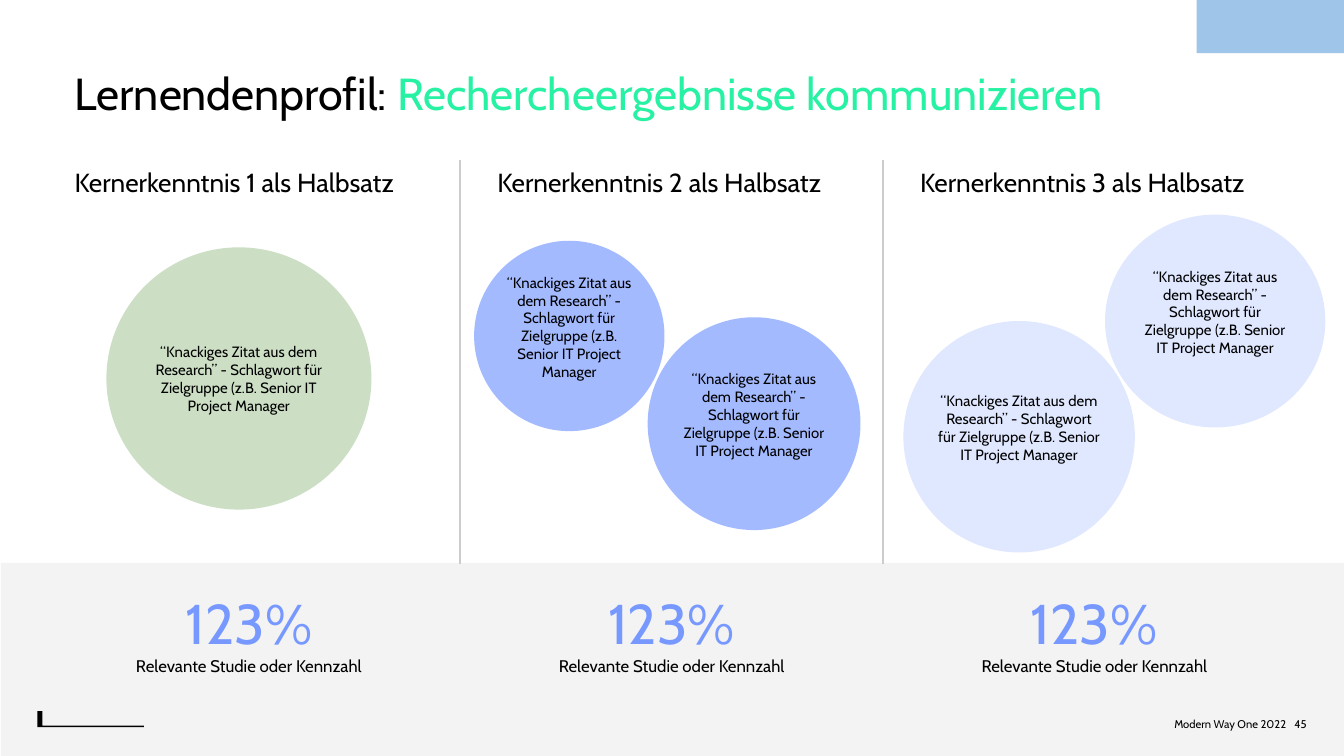
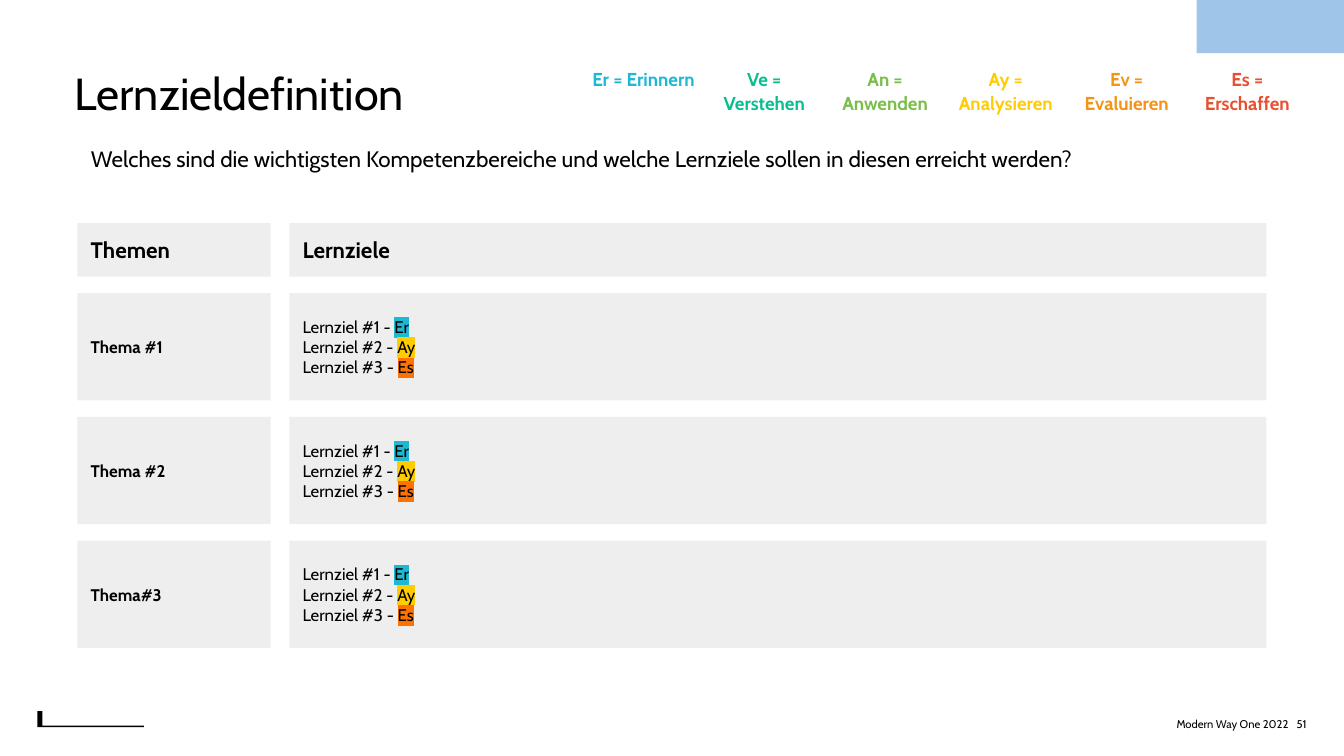
"""Build two slides on learner research and learning goals."""
from dataclasses import dataclass
from typing import NamedTuple

from lxml import etree
from pptx import Presentation
from pptx.dml.color import RGBColor
from pptx.enum.shapes import MSO_CONNECTOR, MSO_SHAPE
from pptx.enum.text import MSO_ANCHOR, MSO_AUTO_SIZE, PP_ALIGN
from pptx.oxml.ns import qn
from pptx.util import Pt

RECT, OVAL, CORNER = MSO_SHAPE.RECTANGLE, MSO_SHAPE.OVAL, MSO_SHAPE.CORNER
LEFT, MID, RIGHT = PP_ALIGN.LEFT, PP_ALIGN.CENTER, PP_ALIGN.RIGHT
TOP, CENTRE = MSO_ANCHOR.TOP, MSO_ANCHOR.MIDDLE
STRAIGHT = MSO_CONNECTOR.STRAIGHT


@dataclass(frozen=True)
class Theme:
    """Shared font, colours and type sizes."""
    font: str = "Cabin"
    black: str = "000000"
    white: str = "FFFFFF"
    band: str = "F3F3F3"
    cell: str = "EEEEEE"
    rule: str = "CCCCCC"
    tag: str = "9FC5E8"
    mint: str = "27F1A3"
    sage: str = "CCDFC5"
    blue: str = "7799FF"
    pale: str = "D2DDFF"
    cyan: str = "1FB8D3"
    teal: str = "09BF8F"
    green: str = "7ABE4A"
    gold: str = "FFCC01"
    amber: str = "F49416"
    red: str = "E85031"
    flame: str = "FF7200"
    title: float = 24
    stat: float = 30
    lead: float = 14
    head: float = 12
    key: float = 10
    text: float = 9
    quote: float = 8
    foot: float = 6


T = Theme()


class Box(NamedTuple):
    """Left, top, width and height in points."""
    x: float
    y: float
    w: float
    h: float


class Pad(NamedTuple):
    """Left, top, right and bottom insets in points."""
    left: float = 7.2
    top: float = 7.2
    right: float = 7.2
    base: float = 7.2


class Style(NamedTuple):
    """Look of one paragraph."""
    size: float
    color: str = T.black
    bold: bool = False
    align: PP_ALIGN = LEFT
    lead: float = 1


class Part(NamedTuple):
    """A run with its own colour, highlight or tracking."""
    text: str
    color: str = ""
    mark: str = ""
    track: int = 0


class Line(NamedTuple):
    """One paragraph: its parts and style."""
    parts: tuple[Part, ...]
    style: Style


class Bubble(NamedTuple):
    """A quote circle."""
    box: Box
    color: str
    alpha: int
    base: float


class Skill(NamedTuple):
    """A level of the taxonomy."""
    text: str
    color: str


WIDE = Pad(20, 20, 20, 20)
COL = 226.5
QUOTE = ("“Knackiges Zitat aus dem Research” - Schlagwort für Zielgruppe "
         "(z.B. Senior IT Project Manager")
BUBBLES = (
    Bubble(Box(57, 132.5, 142, 140.5), T.sage, 100, 0),
    Bubble(Box(254, 129, 102, 102), T.blue, 67, 9.7),
    Bubble(Box(347, 170, 114, 114), T.blue, 67, 9.7),
    Bubble(Box(484, 172, 124, 124), T.pale, 67, 9.7),
    Bubble(Box(592, 115, 118, 114), T.pale, 67, 9.7),
)
SKILLS = (
    Skill("Er = Erinnern", T.cyan), Skill("Ve = Verstehen", T.teal),
    Skill("An = Anwenden", T.green), Skill("Ay = Analysieren", T.gold),
    Skill("Ev = Evaluieren", T.amber), Skill("Es = Erschaffen", T.red),
)
MARKS = (("Er", T.cyan), ("Ay", T.gold), ("Es", T.flame))


def line(text: str, style: Style) -> Line:
    """Make a paragraph of one plain run."""
    return Line((Part(text),), style)


def place(shape, box: Box) -> None:
    """Move and size a shape."""
    shape.left, shape.top, shape.width, shape.height = map(Pt, box)


def write(shape, lines: list[Line], pad: Pad = Pad(), anchor=TOP) -> None:
    """Fill a text frame with styled paragraphs."""
    frame = shape.text_frame
    frame.word_wrap = True
    frame.auto_size = MSO_AUTO_SIZE.NONE
    frame.vertical_anchor = anchor
    frame.margin_left, frame.margin_top = Pt(pad.left), Pt(pad.top)
    frame.margin_right, frame.margin_bottom = Pt(pad.right), Pt(pad.base)
    for i, (parts, style) in enumerate(lines):
        para = frame.add_paragraph() if i else frame.paragraphs[0]
        para.alignment, para.line_spacing = style.align, style.lead
        para.space_before = para.space_after = Pt(0)
        if shape.is_placeholder:
            props = para._p.get_or_add_pPr()
            props.set("marL", "0")
            props.set("indent", "0")
            etree.SubElement(props, qn("a:buNone"))
        font = para.font
        font.name, font.size, font.bold = T.font, Pt(style.size), style.bold
        font.color.rgb = RGBColor.from_string(style.color)
        for part in parts:
            run = para.add_run()
            run.text = part.text
            if part.color:
                run.font.color.rgb = RGBColor.from_string(part.color)
            if part.mark:
                mark = etree.SubElement(run._r.get_or_add_rPr(), qn("a:highlight"))
                etree.SubElement(mark, qn("a:srgbClr"), val=part.mark)
            if part.track:
                run._r.get_or_add_rPr().set("spc", str(part.track))


def block(slide, kind, box: Box, color: str, alpha: int = 100):
    """Add a filled shape without outline or shadow."""
    shape = slide.shapes.add_shape(kind, *map(Pt, box))
    shape.shadow.inherit = False
    shape.fill.solid()
    shape.fill.fore_color.rgb = RGBColor.from_string(color)
    shape.line.fill.background()
    if alpha < 100:
        tint = shape._element.spPr.find(qn("a:solidFill"))[0]
        etree.SubElement(tint, qn("a:alpha"), val=str(alpha * 1000))
    return shape


def label(slide, box: Box, lines: list[Line], pad: Pad = Pad(), anchor=TOP) -> None:
    """Add a text box."""
    write(slide.shapes.add_textbox(*map(Pt, box)), lines, pad, anchor)


def rule(slide, x: float, top: float, base: float) -> None:
    """Add a thin upright line."""
    bar = slide.shapes.add_connector(STRAIGHT, Pt(x), Pt(top), Pt(x), Pt(base))
    bar.line.color.rgb = RGBColor.from_string(T.rule)
    bar.line.width = Pt(0.75)
    etree.SubElement(bar._element.spPr, qn("a:effectLst"))


def start(deck, layout: int, title: tuple[Part, ...]):
    """Add a slide and set its title."""
    slide = deck.slides.add_slide(deck.slide_layouts[layout])
    head = slide.shapes.title
    place(head, Box(20, 15, 672, 47.5))
    write(head, [Line(title, Style(T.title))], WIDE)
    return slide


def finish(slide, page: int) -> None:
    """Add the corner mark, footer and colour tag."""
    mark = block(slide, CORNER, Box(20, 381, 57, 8.5), T.black)
    mark.adjustments[0], mark.adjustments[1] = 0.08, 0.32
    foot = (Part("Modern Way One 2022"), Part(" ", track=300), Part(str(page)))
    label(slide, Box(561.5, 379.5, 138.5, 16.5),
          [Line(foot, Style(T.foot, align=RIGHT))], Pad(right=0), CENTRE)
    block(slide, RECT, Box(641, 0, 79, 28.5), T.tag)


def profile(deck) -> None:
    """Build the learner profile slide."""
    slide = start(deck, 5, (Part("Lernendenprofil: "),
                            Part("Rechercheergebnisse kommunizieren", T.mint)))
    block(slide, RECT, Box(0.5, 301.5, 719.5, 103.5), T.band)
    for i in range(3):
        x = 20 + COL * i
        head = block(slide, RECT, Box(x, 69, COL, 62.5), T.white)
        write(head, [line(f"Kernerkenntnis {i + 1} als Halbsatz", Style(T.lead))], WIDE)
        label(slide, Box(x, 301, COL, 93),
              [line("123%", Style(T.stat, T.blue, align=MID)),
               line("Relevante Studie oder Kennzahl", Style(T.text, align=MID))],
              Pad(14.4, 14.4, 14.4, 14.4))
    for i in (1, 2):
        rule(slide, 20 + COL * i, 85.5, 302)
    for box, color, alpha, base in BUBBLES:
        oval = block(slide, OVAL, box, color, alpha)
        write(oval, [line(QUOTE, Style(T.quote, align=MID))],
              Pad(0, 0, 0, base), CENTRE)
    finish(slide, 45)


def goals(deck) -> None:
    """Build the learning goals slide."""
    slide = start(deck, 1, (Part("Lernzieldefinition"),))
    lead = slide.placeholders[1]
    place(lead, Box(41.5, 70.5, 636.5, 29))
    write(lead, [line("Welches sind die wichtigsten Kompetenzbereiche und "
                      "welche Lernziele sollen in diesen erreicht werden?",
                      Style(T.head))])
    for i, (text, color) in enumerate(SKILLS):
        label(slide, Box(313 + 64.7 * i, 15, 63.5, 57.5),
              [line(text, Style(T.key, color, True, MID, 1.1))],
              Pad(2.9, 20, 2.9, 2.9))
    bold = Style(T.text, bold=True)
    top = Style(T.head, bold=True)
    aims = [Line((Part(f"Lernziel #{n} - "), Part(code, mark=color)), Style(T.text))
            for n, (code, color) in enumerate(MARKS, 1)]
    rows = [([line("Themen", top)], [line("Lernziele", top)])]
    rows += [([line(name, bold)], aims) for name in ("Thema #1", "Thema #2", "Thema#3")]
    y = 119.5
    for i, pair in enumerate(rows):
        high = 57.5 if i else 28.8
        for x, wide, lines in zip((41.5, 155), (103.5, 523.5), pair):
            cell = block(slide, RECT, Box(x, y, wide, high), T.cell)
            write(cell, lines, anchor=CENTRE)
        y += high + 8.8
    finish(slide, 51)


def main() -> None:
    """Save both slides."""
    deck = Presentation()
    deck.slide_width, deck.slide_height = Pt(720), Pt(405)
    profile(deck)
    goals(deck)
    deck.save("out.pptx")


if __name__ == "__main__":
    main()
